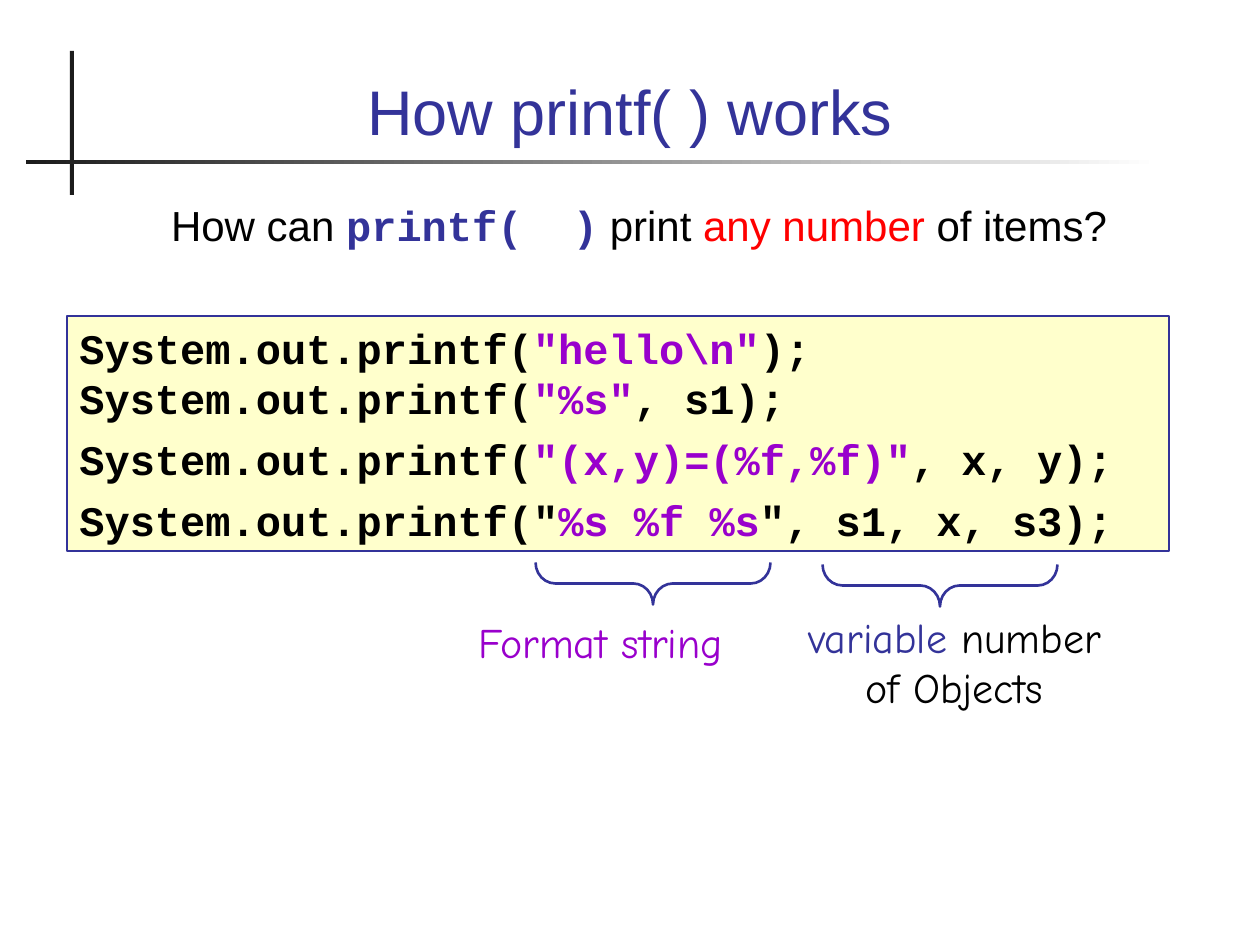
from pptx import Presentation
from pptx.dml.color import RGBColor
from pptx.enum.shapes import MSO_SHAPE as Shape
from pptx.enum.text import MSO_ANCHOR as Anchor, PP_ALIGN as Align
from pptx.util import Pt

PX = 914400 // 126
BLACK = RGBColor(0x00, 0x00, 0x00)
INK = RGBColor(0x1C, 0x1C, 0x1C)
WHITE = RGBColor(0xFF, 0xFF, 0xFF)
BLUE = RGBColor(0x33, 0x33, 0x99)
RED = RGBColor(0xFF, 0x00, 0x00)
PURPLE = RGBColor(0x99, 0x00, 0xCC)
CREAM = RGBColor(0xFF, 0xFF, 0xCC)
SANS, MONO, COMIC = "Arial", "Courier New", "Comic Neue"


def add_shape(kind, left, top, width, height):
    shape = slide.shapes.add_shape(kind, left * PX, top * PX, width * PX, height * PX)
    shape.shadow.inherit = False
    return shape


def add_runs(paragraph, runs, font, size=24, bold=False):
    for text, color in runs:
        run = paragraph.add_run()
        run.text = text
        run.font.name = font
        run.font.size = Pt(size)
        run.font.bold = bold
        run.font.color.rgb = color


presentation = Presentation()
presentation.slide_width = 1260 * PX
presentation.slide_height = 945 * PX
slide = presentation.slides.add_slide(presentation.slide_layouts[6])

vertical_rule = add_shape(Shape.RECTANGLE, 70, 51, 4, 144)
vertical_rule.fill.solid()
vertical_rule.fill.fore_color.rgb = INK
vertical_rule.line.fill.background()

horizontal_rule = add_shape(Shape.RECTANGLE, 26, 160, 1133, 4)
horizontal_rule.fill.gradient()
horizontal_rule.fill.gradient_angle = 0
for stop, color in zip(horizontal_rule.fill.gradient_stops, (INK, WHITE)):
    stop.color.rgb = color
horizontal_rule.line.fill.background()

title = slide.shapes.add_textbox(84 * PX, 35 * PX, 1092 * PX, 119 * PX)
title.text_frame.word_wrap = True
title.text_frame.vertical_anchor = Anchor.BOTTOM
title.text_frame.paragraphs[0].alignment = Align.CENTER
add_runs(title.text_frame.paragraphs[0], [("How printf( ) works", BLUE)], SANS, 36)

question = slide.shapes.add_textbox(93 * PX, 193 * PX, 1092 * PX, 111 * PX)
question.text_frame.word_wrap = True
question.text_frame.margin_top = 7 * PX
paragraph = question.text_frame.paragraphs[0]
paragraph.alignment = Align.CENTER
add_runs(paragraph, [("How can ", BLACK)], SANS)
add_runs(paragraph, [("printf(  )", BLUE)], MONO, bold=True)
add_runs(paragraph, [(" print ", BLACK), ("any number", RED), (" of items?", BLACK)], SANS)

code_box = add_shape(Shape.RECTANGLE, 67, 316, 1102, 235)
code_box.fill.solid()
code_box.fill.fore_color.rgb = CREAM
code_box.line.color.rgb = BLUE
code_box.line.width = Pt(1)
code_frame = code_box.text_frame
code_frame.word_wrap = True
code_frame.vertical_anchor = Anchor.TOP
code_lines = [
    ("System.out.printf(", '"hello\\n"', ");", 0),
    ("System.out.printf(", '"%s"', ", s1);", 0),
    ("System.out.printf(", '"(x,y)=(%f,%f)"', ", x, y);", 6),
    ('System.out.printf("', "%s %f %s", '", s1, x, s3);', 6),
]
for index, (call, format_string, arguments, gap) in enumerate(code_lines):
    paragraph = code_frame.add_paragraph() if index else code_frame.paragraphs[0]
    paragraph.alignment = Align.LEFT
    paragraph.space_before = Pt(gap)
    runs = [(call, BLACK), (format_string, PURPLE), (arguments, BLACK)]
    add_runs(paragraph, runs, MONO, bold=True)

labels = [
    (466, 610, 331, 63, Align.LEFT, [("Format string", PURPLE)]),
    (782, 605, 345, 113, Align.CENTER, [("variable", BLUE), (" number of Objects", BLACK)]),
]
for left, top, width, height, alignment, runs in labels:
    label = slide.shapes.add_textbox(left * PX, top * PX, width * PX, height * PX)
    label.text_frame.word_wrap = True
    paragraph = label.text_frame.paragraphs[0]
    paragraph.alignment = alignment
    add_runs(paragraph, runs, COMIC)

for left, top in ((632, 466), (919, 468)):
    brace = add_shape(Shape.RIGHT_BRACE, left, top, 42, 235)
    brace.rotation = 90
    brace.adjustments[0] = 0.47
    brace.fill.background()
    brace.line.color.rgb = BLUE
    brace.line.width = Pt(1.5)

presentation.save("out.pptx")
